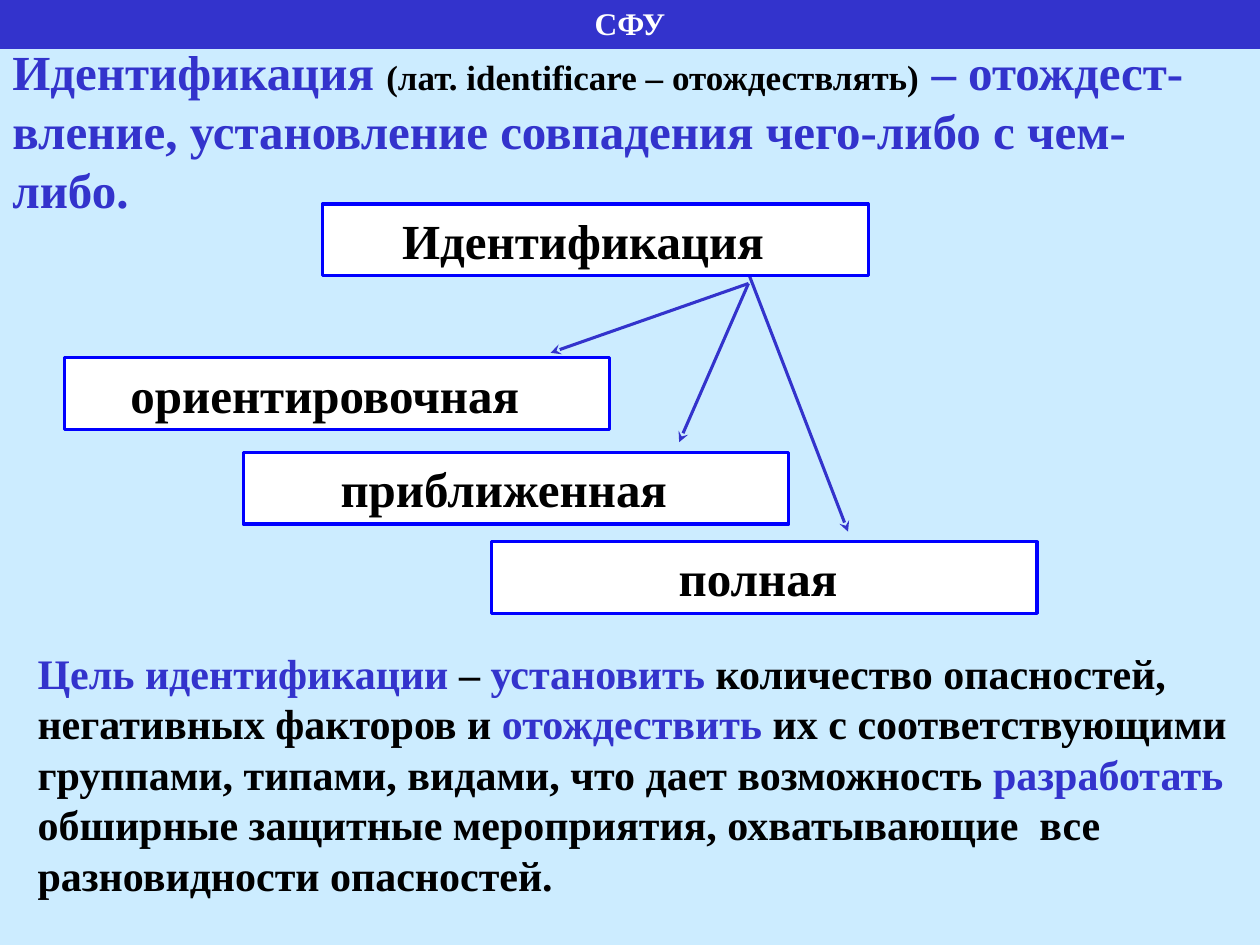
from dataclasses import dataclass

from lxml import etree
from pptx import Presentation
from pptx import util as u
from pptx.dml.color import RGBColor
from pptx.enum import shapes, text
from pptx.oxml import ns

Pt = u.Pt


@dataclass(frozen=True)
class Theme:
    font: str = "Times New Roman"
    background: str = "CCECFF"
    accent: str = "3333CC"
    border: str = "0000FF"
    ink: str = "000000"
    paper: str = "FFFFFF"
    banner_size: int = 18
    note_size: int = 20
    body_size: int = 24
    heading_size: int = 28
    line_width: float = 1.75


theme = Theme()


def rgb(value):
    return RGBColor.from_string(value)


def write(paragraph, content, size=theme.heading_size, color=theme.ink):
    run = paragraph.add_run()
    run.text = content
    run.font.name = theme.font
    run.font.size = Pt(size)
    run.font.bold = True
    run.font.color.rgb = rgb(color)


presentation = Presentation()
presentation.slide_width = Pt(720)
presentation.slide_height = Pt(540)
slide = presentation.slides.add_slide(presentation.slide_layouts[5])
slide.background.fill.solid()
slide.background.fill.fore_color.rgb = rgb(theme.background)

banner = slide.shapes.title
banner.left, banner.top, banner.width, banner.height = Pt(0), Pt(-2.2), Pt(720), Pt(30.2)
banner.fill.solid()
banner.fill.fore_color.rgb = rgb(theme.accent)
banner.text_frame.auto_size = text.MSO_AUTO_SIZE.NONE
banner.text_frame.vertical_anchor = text.MSO_ANCHOR.MIDDLE
banner_paragraph = banner.text_frame.paragraphs[0]
banner_paragraph.alignment = text.PP_ALIGN.CENTER
write(banner_paragraph, "СФУ", size=theme.banner_size, color=theme.paper)

definition = [
    ("Идентификация ", theme.heading_size, theme.accent),
    ("(лат. identificare – отождествлять)", theme.note_size, theme.ink),
    (" – отождест-вление, установление совпадения чего-либо с чем-либо.",
     theme.heading_size, theme.accent),
]
purpose = [
    ("Цель идентификации", theme.body_size, theme.accent),
    (" – ", theme.body_size, theme.ink),
    ("установить", theme.body_size, theme.accent),
    (" количество опасностей, негативных факторов и ", theme.body_size, theme.ink),
    ("отождествить", theme.body_size, theme.accent),
    (" их с соответствующими группами, типами, видами, что дает возможность ",
     theme.body_size, theme.ink),
    ("разработать", theme.body_size, theme.accent),
    (" обширные защитные мероприятия, охватывающие  все разновидности опасностей.",
     theme.body_size, theme.ink),
]
for left, top, width, height, space_before, runs in [
    (0, 20.2, 708.5, 108, 0, definition),
    (14.4, 366.5, 702.7, 151.2, 15, purpose),
]:
    text_box = slide.shapes.add_textbox(Pt(left), Pt(top), Pt(width), Pt(height))
    text_box.text_frame.word_wrap = True
    text_box.text_frame.auto_size = text.MSO_AUTO_SIZE.SHAPE_TO_FIT_TEXT
    paragraph = text_box.text_frame.paragraphs[0]
    paragraph.space_before = Pt(space_before)
    for content, size, color in runs:
        write(paragraph, content, size=size, color=color)

for start_x, start_y, end_x, end_y in [
    (427.7, 162, 388.1, 252.7),
    (427.7, 162, 314.6, 201.6),
    (427.7, 156.2, 484.6, 303.8),
]:
    arrow = slide.shapes.add_connector(
        shapes.MSO_CONNECTOR.STRAIGHT, Pt(start_x), Pt(start_y), Pt(end_x), Pt(end_y))
    arrow.line.color.rgb = rgb(theme.accent)
    arrow.line.width = Pt(theme.line_width)
    etree.SubElement(arrow.line._get_or_add_ln(), ns.qn("a:tailEnd"), type="stealth")
    etree.SubElement(arrow._element.spPr, ns.qn("a:effectLst"))

for label, left, top, right_inset in [
    ("Идентификация", 184.3, 116.6, 21.2),
    ("ориентировочная", 36.7, 204.5, 21.2),
    ("приближенная", 139, 258.5, 21.2),
    ("полная", 280.8, 309.6, 14.2),
]:
    box = slide.shapes.add_shape(
        shapes.MSO_SHAPE.RECTANGLE, Pt(left), Pt(top), Pt(311.8), Pt(41))
    box.shadow.inherit = False
    box.fill.solid()
    box.fill.fore_color.rgb = rgb(theme.paper)
    box.line.color.rgb = rgb(theme.border)
    box.line.width = Pt(theme.line_width)
    box.text_frame.word_wrap = True
    box.text_frame.auto_size = text.MSO_AUTO_SIZE.SHAPE_TO_FIT_TEXT
    box.text_frame.vertical_anchor = text.MSO_ANCHOR.TOP
    box.text_frame.margin_right = Pt(right_inset)
    paragraph = box.text_frame.paragraphs[0]
    paragraph.alignment = text.PP_ALIGN.CENTER
    write(paragraph, label)

presentation.save("out.pptx")
